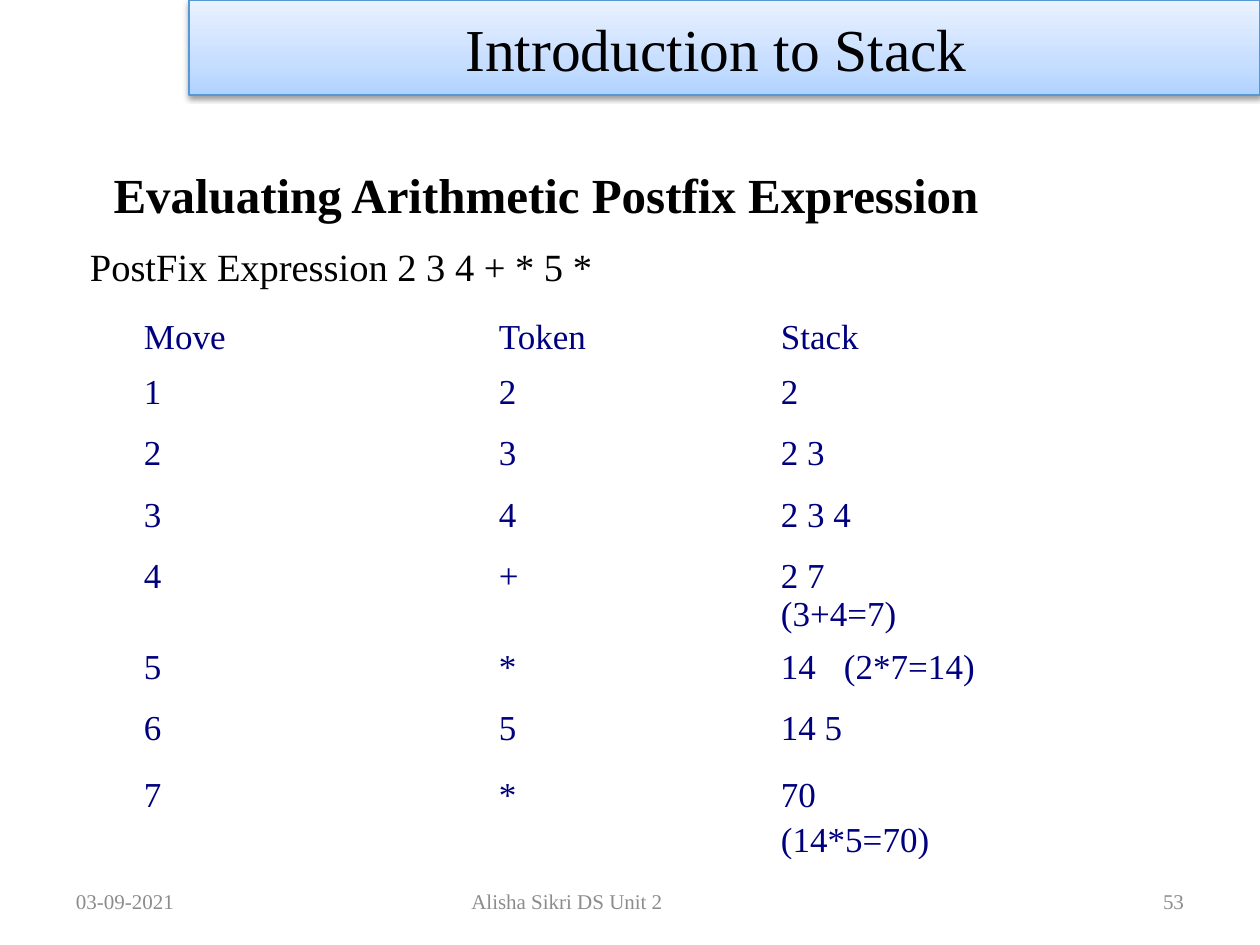
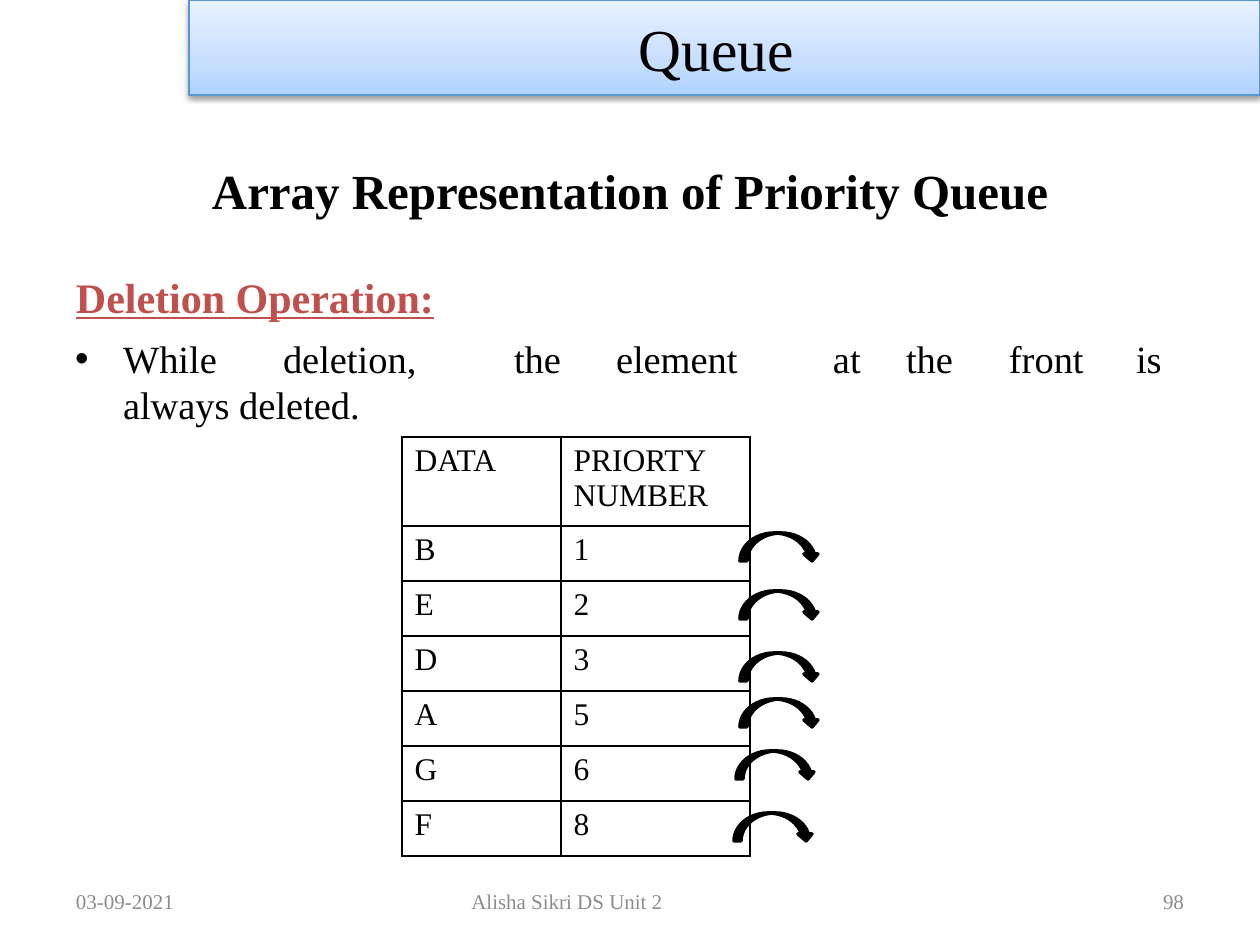
import pptx
import pptx.util
import pptx.dml.color
import pptx.enum.shapes
import pptx.enum.text
import pptx.oxml
import pptx.oxml.ns
import lxml.etree

PX = pptx.util.Inches(1) / 126
ALIGN = pptx.enum.text.PP_ALIGN
ANCHOR = pptx.enum.text.MSO_ANCHOR
SHAPE = pptx.enum.shapes.MSO_SHAPE
COLORS = {
    "ink": "000000",
    "navy": "00007F",
    "red": "C0504D",
    "grey": "8C8C8C",
    "band_line": "5698D3",
    "band_low": "B0D2FF",
    "band_middle": "C7DEFF",
    "band_high": "EAF2FF",
}
BAND_STOPS = {0: "band_low", 35: "band_middle", 100: "band_high"}
FONT = "Times New Roman"
STYLES = {
    "band": {"size": 34, "color": "ink"},
    "title": {"size": 28, "color": "ink", "bold": True},
    "heading": {"size": 24, "color": "red", "bold": True, "underline": True},
    "body": {"size": 22, "color": "ink"},
    "moves": {"size": 20, "color": "navy"},
    "priority": {"size": 18, "color": "ink"},
    "footer": {"size": 12, "color": "grey"},
}
MOVES = [
    ("Move", "Token", "Stack"),
    ("1", "2", "2"),
    ("2", "3", "2 3"),
    ("3", "4", "2 3 4"),
    ("4", "+", "2 7\v(3+4=7)"),
    ("5", "*", "14\t(2*7=14)"),
    ("6", "5", "14 5"),
    ("7", "*", "70\v(14*5=70)"),
]
PRIORITIES = [("DATA", "PRIORTY NUMBER"), ("B", "1"), ("E", "2"),
              ("D", "3"), ("A", "5"), ("G", "6"), ("F", "8")]


def px(length):
    return pptx.util.Emu(round(length * PX))


def rgb(name):
    return pptx.dml.color.RGBColor.from_string(COLORS[name])


def add_xml(parent, tag, **values):
    element = lxml.etree.SubElement(parent, pptx.oxml.ns.qn(tag))
    for name, value in values.items():
        element.set(name, str(value))
    return element


def set_values(target, values):
    for name, value in values.items():
        setattr(target, name, value)


def place(shape, box):
    set_values(shape, dict(zip(("left", "top", "width", "height"), map(px, box))))


def write(para, text, style, **layout):
    para.text = text
    set_values(para, {"space_before": pptx.util.Pt(0), **layout})
    values = dict(STYLES[style])
    color = values.pop("color")
    values["size"] = pptx.util.Pt(values["size"])
    for span in para.runs:
        set_values(span.font, {"name": FONT, **values})
        span.font.color.rgb = rgb(color)


def set_frame(frame, insets=(13, 6, 13, 6), anchor=ANCHOR.TOP):
    names = ("margin_left", "margin_top", "margin_right", "margin_bottom")
    set_values(frame, dict(zip(names, map(px, insets))))
    set_values(frame, {"word_wrap": True, "vertical_anchor": anchor,
                       "auto_size": pptx.enum.text.MSO_AUTO_SIZE.NONE})


def set_list_format(para, indent=0, hanging=0, bullet=None, tabs=()):
    props = para._p.get_or_add_pPr()
    props.set("marL", str(px(indent)))
    props.set("indent", str(px(-hanging)))
    if bullet:
        add_xml(props, "a:buFont", typeface="Arial")
        add_xml(props, "a:buChar", char=bullet)
    else:
        add_xml(props, "a:buNone")
    if tabs:
        stops = add_xml(props, "a:tabLst")
        for stop in tabs:
            add_xml(stops, "a:tab", pos=px(stop), algn="l")


def add_band(page, box, text):
    band = page.shapes.add_shape(SHAPE.RECTANGLE, *map(px, box))
    gradient = pptx.oxml.parse_xml(
        f'<a:gradFill {pptx.oxml.ns.nsdecls("a")} rotWithShape="1"/>')
    stops = add_xml(gradient, "a:gsLst")
    for position, color in BAND_STOPS.items():
        stop = add_xml(stops, "a:gs", pos=position * 1000)
        add_xml(stop, "a:srgbClr", val=COLORS[color])
    add_xml(gradient, "a:lin", ang=16200000, scaled=0)
    props = band._element.spPr
    props.insert(2, gradient)
    band.line.color.rgb = rgb("band_line")
    band.line.width = pptx.util.Pt(0.75)
    band.shadow.inherit = False
    effects = props.find(pptx.oxml.ns.qn("a:effectLst"))
    shadow = add_xml(effects, "a:outerShdw", blurRad=40000, dist=20000,
                     dir=5400000, rotWithShape=0)
    shade = add_xml(shadow, "a:srgbClr", val=COLORS["ink"])
    add_xml(shade, "a:alpha", val=38000)
    set_frame(band.text_frame, (13, 6, 29, 6), ANCHOR.MIDDLE)
    write(band.text_frame.paragraphs[0], text, "band", alignment=ALIGN.CENTER)


def add_footer(page, top, number):
    parts = [
        (63, 294, 13, "03-09-2021", ALIGN.LEFT),
        (431, 399, 140, "Alisha Sikri DS Unit 2", ALIGN.CENTER),
        (903, 294, 13, number, ALIGN.RIGHT),
    ]
    for left, width, right_inset, text, alignment in parts:
        box = page.shapes.add_textbox(*map(px, (left, top, width, 50)))
        set_frame(box.text_frame, (13, 6, right_inset, 6), ANCHOR.MIDDLE)
        write(box.text_frame.paragraphs[0], text, "footer", alignment=alignment)


def add_page(deck, band_text, title, title_box, number, **title_layout):
    page = deck.slides.add_slide(deck.slide_layouts[1])
    place(page.shapes.title, title_box)
    frame = page.shapes.title.text_frame
    set_frame(frame, (0, 1, 0, 0), ANCHOR.MIDDLE)
    write(frame.paragraphs[0], title, "title", alignment=ALIGN.CENTER, **title_layout)
    add_footer(page, 876, number)
    add_band(page, (189, 0, 1071, 95), band_text)
    return page


def add_body(page, box, insets):
    body = page.placeholders[1]
    place(body, box)
    set_frame(body.text_frame, insets)
    return body.text_frame


def add_grid(page, left, top, rows, widths, heights):
    box = map(px, (left, top, sum(widths), sum(heights)))
    table = page.shapes.add_table(len(rows), len(widths), *box).table
    table.first_row = table.horz_banding = False
    for column, width in zip(table.columns, widths):
        column.width = px(width)
    for row, height in zip(table.rows, heights):
        row.height = px(height)
    for cell in table.iter_cells():
        cell.fill.background()
    return table


def add_moves_table(page, left, top):
    table = add_grid(page, left, top, MOVES, (215, 316, 316),
                     (50, 61, 62, 61, 91, 61, 61, 98))
    line_heights = {0: pptx.util.Pt(24), len(MOVES) - 1: pptx.util.Pt(25.8)}
    for i, row in enumerate(MOVES):
        for j, (text, inset) in enumerate(zip(row, (4, 144, 110))):
            cell = table.cell(i, j)
            set_values(cell, {"margin_left": px(inset), "margin_right": 0,
                              "margin_top": px(8 if i else 0), "margin_bottom": 0})
            para = cell.text_frame.paragraphs[0]
            if "\t" in text:
                set_list_format(para, tabs=[71])
            write(para, text, "moves", line_spacing=line_heights.get(i))


def add_borders(cell):
    props = cell._tc.get_or_add_tcPr()
    for index, side in enumerate(("L", "R", "T", "B")):
        line = add_xml(props, f"a:ln{side}", w=pptx.util.Pt(1))
        fill = add_xml(line, "a:solidFill")
        add_xml(fill, "a:srgbClr", val=COLORS["ink"])
        props.insert(index, line)


def add_priority_table(page, left, top):
    table = add_grid(page, left, top, PRIORITIES, (159, 189), [89] + [55] * 6)
    for i, row in enumerate(PRIORITIES):
        for j, text in enumerate(row):
            cell = table.cell(i, j)
            write(cell.text_frame.paragraphs[0], text, "priority")
            add_borders(cell)


def add_jump_arrows(page, left, top):
    offsets = [(0, 0), (0, 58), (0, 120), (0, 166), (-4, 218), (-6, 280)]
    for dx, dy in offsets:
        arrow = page.shapes.add_shape(SHAPE.CURVED_DOWN_ARROW,
                                      *map(px, (left + dx, top + dy, 79, 28)))
        arrow.shadow.inherit = False
        arrow.fill.solid()
        arrow.fill.fore_color.rgb = rgb("ink")
        arrow.line.color.rgb = rgb("ink")
        arrow.line.width = pptx.util.Pt(2)


def build_stack_page(deck):
    page = add_page(deck, "Introduction to Stack",
                    "Evaluating Arithmetic Postfix Expression",
                    (32, 145, 1028, 79), "53", line_spacing=pptx.util.Pt(44.2))
    para = add_body(page, (88, 242, 542, 48), (2, 1, 0, 0)).paragraphs[0]
    set_list_format(para)
    write(para, "PostFix Expression 2 3 4 + * 5 *", "body")
    add_moves_table(page, 140, 315)


def build_queue_page(deck):
    page = add_page(deck, "Queue", "Array Representation of Priority Queue",
                    (63, 159, 1134, 60), "98")
    frame = add_body(page, (74, 253, 1113, 174), (0, 18, 0, 0))
    heading = frame.paragraphs[0]
    set_list_format(heading, indent=2)
    write(heading, "Deletion Operation:", "heading")
    item = frame.add_paragraph()
    set_list_format(item, indent=49, hanging=48, bullet="•",
                    tabs=(209, 440, 542, 759, 832, 935, 1062))
    write(item, "While\tdeletion,\tthe\telement\tat\tthe\tfront\tis always deleted.",
          "body", space_before=pptx.util.Pt(7.7))
    add_priority_table(page, 402, 437)
    add_jump_arrows(page, 740, 533)


def main():
    deck = pptx.Presentation()
    deck.slide_width, deck.slide_height = px(1260), px(945)
    build_stack_page(deck)
    build_queue_page(deck)
    deck.save("out.pptx")


if __name__ == "__main__":
    main()
